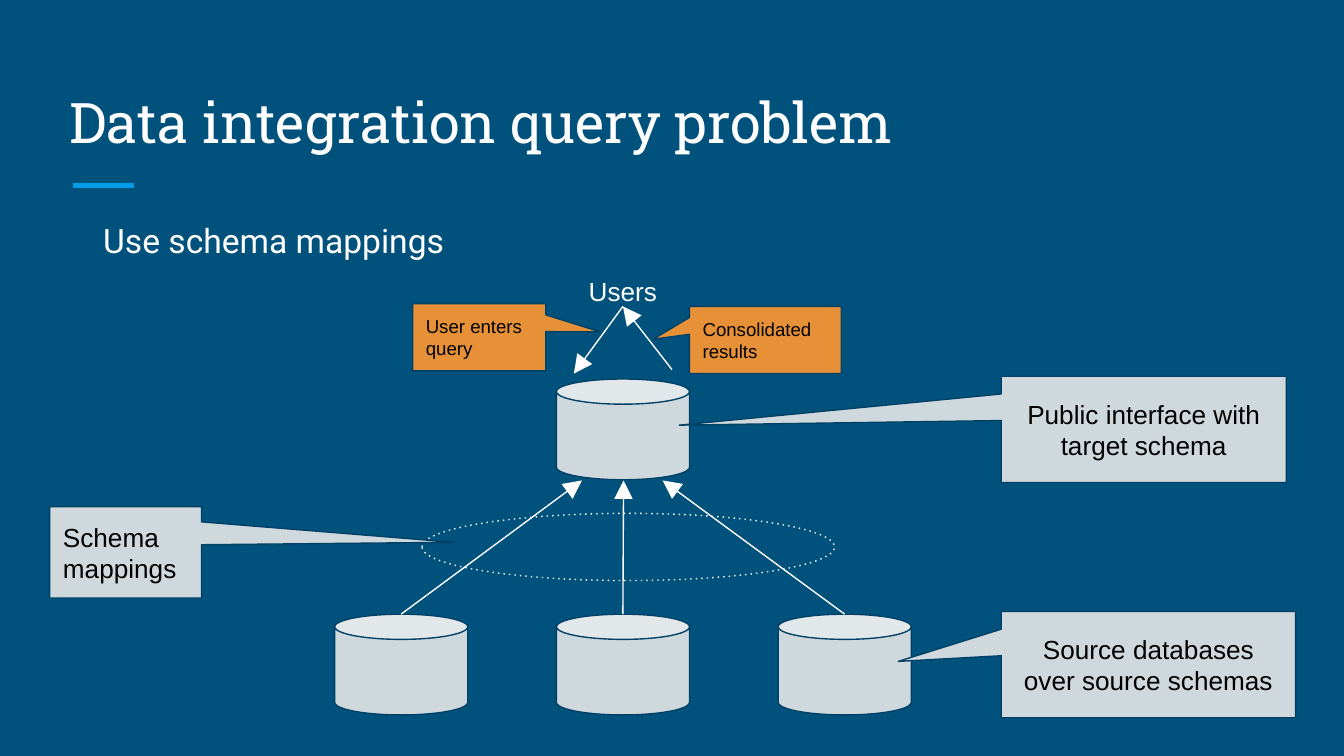
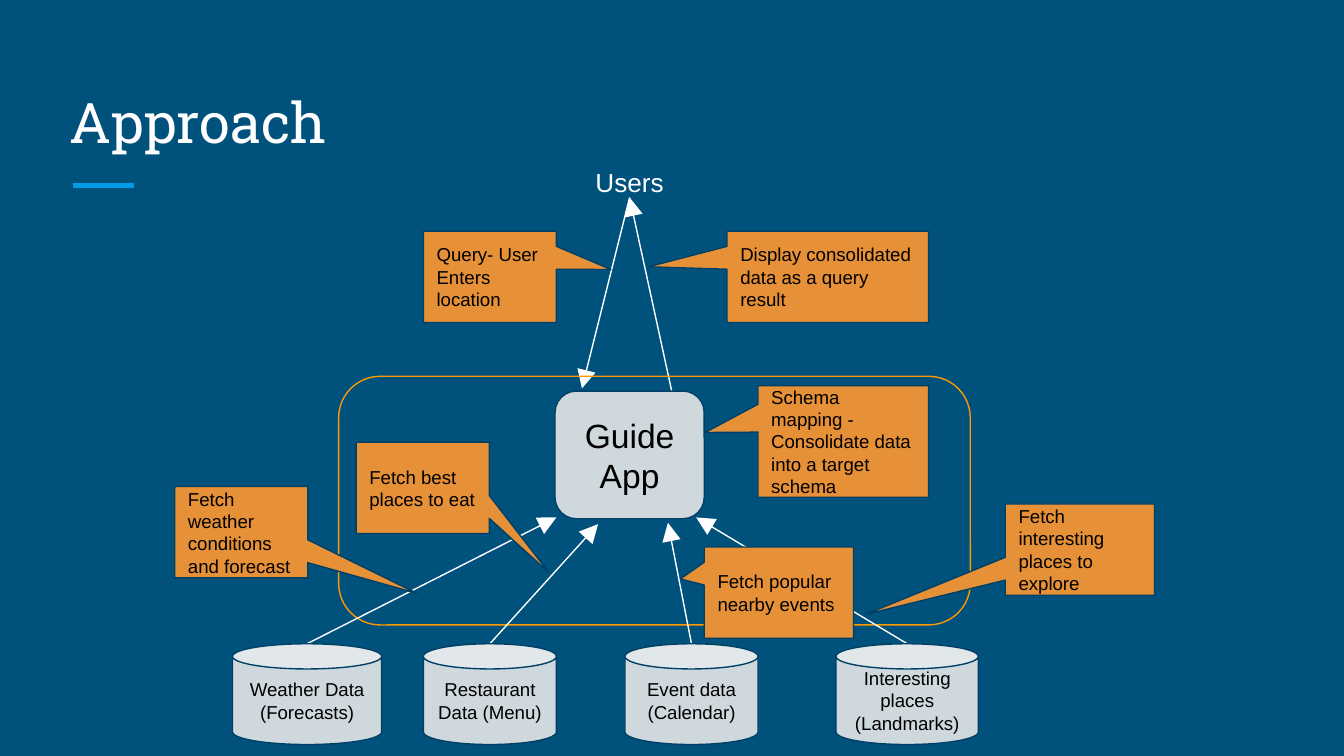
"""Build two slides on querying integrated data: the problem and the approach."""
from lxml import etree
from pptx import Presentation
from pptx.dml.color import RGBColor
from pptx.enum.shapes import MSO_CONNECTOR, MSO_SHAPE
from pptx.enum.text import MSO_ANCHOR, PP_ALIGN
from pptx.oxml.ns import qn
from pptx.util import Inches, Pt

CAN, ELLIPSE, ROUNDED = MSO_SHAPE.CAN, MSO_SHAPE.OVAL, MSO_SHAPE.ROUNDED_RECTANGLE
CALLOUT, ROUND_CALLOUT = MSO_SHAPE.RECTANGULAR_CALLOUT, MSO_SHAPE.ROUNDED_RECTANGULAR_CALLOUT
STRAIGHT = MSO_CONNECTOR.STRAIGHT
TOP, MIDDLE, BOTTOM = MSO_ANCHOR.TOP, MSO_ANCHOR.MIDDLE, MSO_ANCHOR.BOTTOM
LEFT, CENTER = PP_ALIGN.LEFT, PP_ALIGN.CENTER
BOTTOM_SIDE = 2

COLORS = {
    "background": "00517C", "accent": "039BE5", "white": "FFFFFF", "black": "000000",
    "grey": "CFD8DC", "outline": "004065", "orange": "E69138", "boundary": "FF9900",
}
PALETTE = {name: RGBColor.from_string(value) for name, value in COLORS.items()}

deck = Presentation()
deck.slide_width, deck.slide_height = Inches(10), Inches(5.625)
CELL = deck.slide_width / 100

INSETS = dict.fromkeys(("margin_left", "margin_top", "margin_right", "margin_bottom"), round(CELL))
TITLE = {"size": 30, "font": "Roboto Slab", "color": "white", "anchor": BOTTOM}
BODY = {"size": 18, "font": "Roboto", "color": "white"}
USERS = {"size": 14, "color": "white", "align": CENTER}
STORE = {"fill": "grey", "size": 10, "align": CENTER, "anchor": MIDDLE}
APP = {**STORE, "size": 18}
SCHEMA = {**STORE, "size": 14}
MAPPING = {**SCHEMA, "align": LEFT}
STEP = {**STORE, "fill": "orange", "align": LEFT}


def add_part(slide, preset, box, look, text="", adjustments=()):
    """Add a shape, or a text box if preset is None, placed in grid cells."""
    place = [round(value * CELL) for value in box]
    if preset is None:
        part = slide.shapes.add_textbox(*place)
    else:
        part = slide.shapes.add_shape(preset, *place)
        part.shadow.inherit = False
        if "fill" in look:
            part.fill.solid()
            part.fill.fore_color.rgb = PALETTE[look["fill"]]
        else:
            part.fill.background()
        part.line.color.rgb = PALETTE[look.get("line", "outline")]
        part.line.width = Pt(0.75)
        for index, value in enumerate(adjustments):
            part.adjustments[index] = value
    if text:
        frame = part.text_frame
        settings = {**INSETS, "word_wrap": True, "vertical_anchor": look.get("anchor", TOP)}
        for name, value in settings.items():
            setattr(frame, name, value)
        paragraph = frame.paragraphs[0]
        paragraph.text = text
        paragraph.alignment = look.get("align", LEFT)
        for run in paragraph.runs:
            for name, value in {"size": Pt(look["size"]), "name": look.get("font", "Arial")}.items():
                setattr(run.font, name, value)
            run.font.color.rgb = PALETTE[look.get("color", "black")]
    return part


def add_line(slide, start, end, color="white", width=0.75, arrow=True):
    """Add a straight line between two grid points."""
    line = slide.shapes.add_connector(STRAIGHT, *[round(v * CELL) for v in (*start, *end)])
    line.line.color.rgb = PALETTE[color]
    line.line.width = Pt(width)
    etree.SubElement(line._element.spPr, qn("a:effectLst"))
    if arrow:
        etree.SubElement(line.line._get_or_add_ln(), qn("a:tailEnd"), type="triangle", w="lg", len="lg")
    return line


slides = []
for heading in ("Data integration query problem", "Approach"):
    slide = deck.slides.add_slide(deck.slide_layouts[6])
    slide.background.fill.solid()
    slide.background.fill.fore_color.rgb = PALETTE["background"]
    add_line(slide, (5.4, 13.8), (10, 13.8), "accent", 3, arrow=False)
    add_part(slide, None, (4.2, 5, 91.5, 7.5), TITLE, heading)
    slides.append(slide)
problem, approach = slides

bullet = add_part(problem, None, (4.2, 14.9, 95, 40.6), BODY, "Use schema mappings").text_frame.paragraphs[0]
bullet.line_spacing, bullet.space_after = 1.15, Pt(16)
for name, cells in {"marL": 5, "indent": -2.5}.items():
    bullet._p.get_or_add_pPr().set(name, str(round(cells * CELL)))

add_part(problem, CAN, (41.4, 28.2, 9.9, 7.5), STORE)
for index, tip in enumerate((43.3, 46.4, 49.3)):
    left = 24.9 + 16.5 * index
    add_part(problem, CAN, (left, 45.7, 9.9, 7.5), STORE)
    add_line(problem, (left + 4.95, 45.7), (tip, 35.75))

for slide, users_box, query_tip, result_start in (
    (problem, (42.6, 19.5, 7.5, 3.3), (42.7, 27.8), (50, 27.5)),
    (approach, (43.1, 11.4, 7.5, 3.3), (43.3, 28.9), (50, 29.2)),
):
    users = add_part(slide, None, users_box, USERS, "Users")
    users_foot = (users_box[0] + users_box[2] / 2, users_box[1] + users_box[3])
    add_line(slide, users_foot, query_tip).begin_connect(users, BOTTOM_SIDE)
    add_line(slide, result_start, users_foot).end_connect(users, BOTTOM_SIDE)

mapping_ring = add_part(problem, ELLIPSE, (31.4, 38.2, 30.7, 5), {"line": "white"})
etree.SubElement(mapping_ring.line._get_or_add_ln(), qn("a:prstDash"), val="dot")

for preset, box, look, text, pointer in (
    (ROUND_CALLOUT, (74.5, 45.5, 21.9, 7.9), SCHEMA, "Source databases over source schemas", (-0.85, -0.03, 0)),
    (ROUND_CALLOUT, (74.5, 28, 21.2, 7.9), SCHEMA, "Public interface with target schema", (-1.63, -0.04, 0)),
    (CALLOUT, (3.7, 37.7, 11.3, 6.8), MAPPING, "Schema mappings", (2.16, -0.11)),
    (CALLOUT, (30.7, 22.6, 9.9, 5), STEP, "User enters query", (0.91, -0.08)),
    (CALLOUT, (51.3, 22.8, 11.3, 5), STEP, "Consolidated results", (-0.74, -0.01)),
):
    add_part(problem, preset, box, look, text, pointer)

add_part(approach, ROUNDED, (25.2, 28, 47, 18.5), {"line": "boundary"})
for left, width, text, tip in (
    (17.3, 11.1, "Weather Data\v(Forecasts)", (41.4, 38.5)),
    (31.5, 9.9, "Restaurant Data (Menu)", (44.5, 39)),
    (46.5, 9.9, "Event data (Calendar)", (49.7, 38.9)),
    (62.2, 10.6, "Interesting places (Landmarks)", (51.8, 38.5)),
):
    add_line(approach, (left + width / 2, 47.9), tip)
    add_part(approach, CAN, (left, 47.9, width, 7.5), STORE, text)
add_part(approach, ROUNDED, (41.3, 29.1, 11.1, 9.5), APP, "Guide App")

for box, text, pointer in (
    ((31.5, 17.2, 9.9, 6.8), "Query- User Enters location", (0.91, -0.08)),
    ((13, 36.2, 9.9, 6.8), "Fetch weather conditions and forecast", (1.32, 0.67)),
    ((26.5, 32.9, 9.9, 6.8), "Fetch best places to eat", (0.95, 0.93)),
    ((52.4, 40.7, 11.1, 6.8), "Fetch popular nearby events", (-0.66, -0.15)),
    ((74.8, 37.5, 11.1, 6.8), "Fetch interesting places to explore", (-1.44, 0.71)),
    ((54.1, 17.2, 15, 6.8), "Display consolidated data as a query result", (-0.89, -0.11)),
    ((56.4, 28.7, 12.7, 8.3), "Schema mapping - Consolidate data into a target schema", (-0.81, -0.08)),
):
    add_part(approach, CALLOUT, box, STEP, text, pointer)

deck.save("out.pptx")
